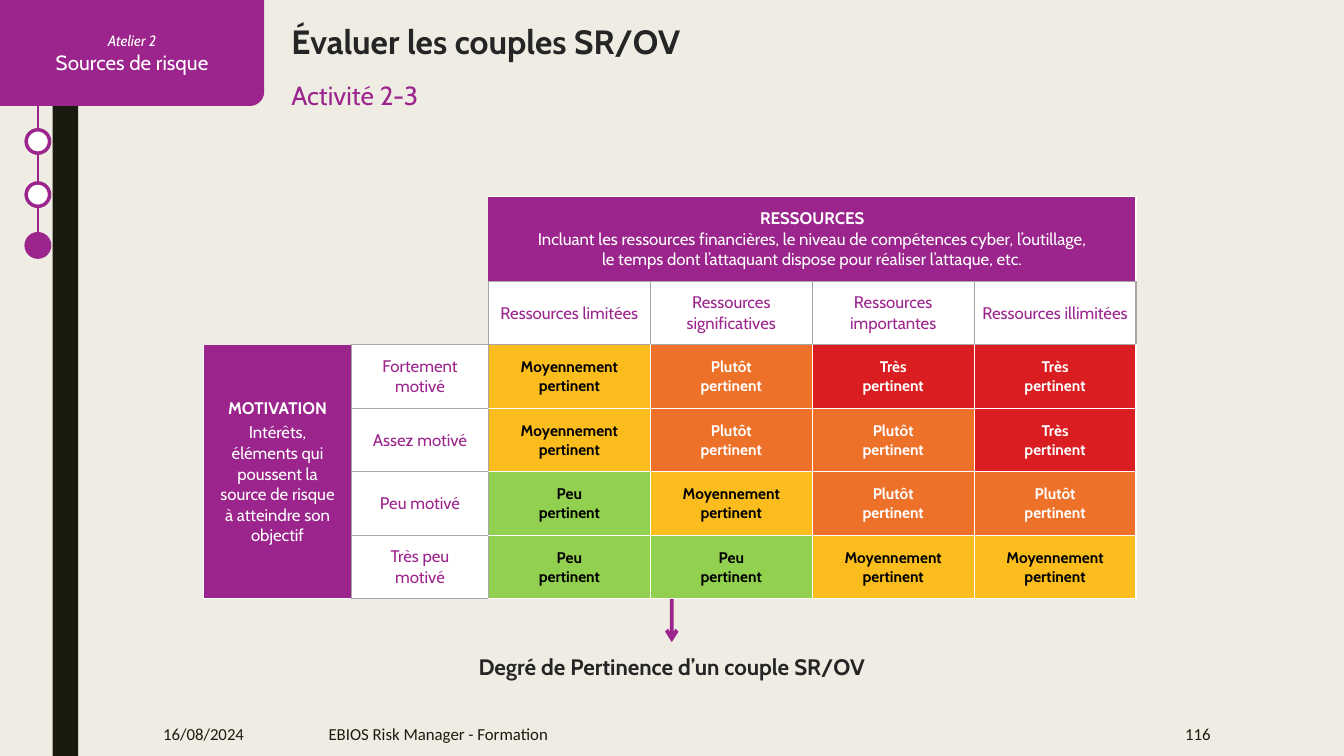
from dataclasses import dataclass
from math import cos, pi, sin

from lxml.etree import SubElement
from pptx import Presentation
from pptx.dml.color import RGBColor
from pptx.enum.shapes import MSO_CONNECTOR as Connector, MSO_SHAPE as Preset
from pptx.enum.text import MSO_ANCHOR as Anchor, MSO_AUTO_SIZE as AutoSize, PP_ALIGN as Align
from pptx.oxml.ns import qn
from pptx.util import Cm, Pt


@dataclass(frozen=True)
class Theme:
    paper: str = "EFEDE3"
    purple: str = "9C258D"
    dark: str = "191B0E"
    ink: str = "252525"
    white: str = "FFFFFF"
    black: str = "000000"
    grey: str = "A6A6A6"
    green: str = "92D050"
    yellow: str = "FBBD1E"
    orange: str = "EE712A"
    red: str = "D91D20"
    font: str = "Cabin"
    footer_font: str = "Calibri"
    title: float = 24
    subtitle: float = 18.7
    conclusion: float = 16
    section: float = 14.7
    workshop: float = 10.7
    text: float = 12
    degree: float = 11


@dataclass(frozen=True)
class Box:
    """A region, in centimetres."""
    left: float
    top: float
    width: float
    height: float

    def place(self):
        return [Cm(value) for value in (self.left, self.top, self.width, self.height)]


THEME = Theme()
NO_STYLE = "{2D5ABB26-0587-4C30-8999-92F81FD0307C}"
NO_MARGINS = dict.fromkeys(("margin_left", "margin_top", "margin_right", "margin_bottom"), 0)
RESOURCES = ["Ressources limitées", "Ressources significatives",
             "Ressources importantes", "Ressources illimitées"]
MOTIVATIONS = {"Fortement\nmotivé": "MPTT", "Assez motivé": "MPPT",
               "Peu motivé": "FMPP", "Très peu\nmotivé": "FFMM"}
DEGREES = {"F": ("Peu\npertinent", THEME.green, THEME.black),
           "M": ("Moyennement pertinent", THEME.yellow, THEME.black),
           "P": ("Plutôt\npertinent", THEME.orange, THEME.white),
           "T": ("Très\npertinent", THEME.red, THEME.white)}


def rgb(code):
    return RGBColor.from_string(code)


def assign(target, values):
    for name, value in values.items():
        setattr(target, name, value)


def write(frame, *lines, align=Align.CENTER):
    """Fill a text frame with (text, size, colour, font values) lines."""
    for index, (text, size, colour, values) in enumerate(lines):
        para = frame.add_paragraph() if index else frame.paragraphs[0]
        para.text = text
        assign(para, {"alignment": align, "space_before": Pt(0)})
        for span in para.runs:
            assign(span.font, {"name": THEME.font, "size": Pt(size), "bold": False, **values})
            span.font.color.rgb = rgb(colour)


def paint(shape, fill, line=None, weight=0):
    shape.shadow.inherit = False
    shape.fill.solid()
    shape.fill.fore_color.rgb = rgb(fill)
    if line:
        shape.line.color.rgb = rgb(line)
        shape.line.width = Pt(weight)
    else:
        shape.line.fill.background()


def add_line(page, start, end, weight):
    line = page.shapes.add_connector(Connector.STRAIGHT, *map(Cm, (*start, *end)))
    line.line.color.rgb = rgb(THEME.purple)
    line.line.width = Pt(weight)
    SubElement(line._element.spPr, qn("a:effectLst"))
    return line


def add_label(page, box, line, align=Align.LEFT, **frame_values):
    label = page.shapes.add_textbox(*box.place())
    assign(label.text_frame, {"word_wrap": True, "vertical_anchor": Anchor.MIDDLE, **frame_values})
    write(label.text_frame, line, align=align)
    return label


def add_side_bar(page, box):
    bar = page.shapes.add_shape(Preset.RECTANGLE, *box.place())
    paint(bar, THEME.dark)


def add_progress(page, box):
    """Draw the step line with its circles, the last one being current."""
    middle, size = box.left + box.width / 2, box.width
    add_line(page, (middle, box.top), (middle, box.top + box.height), 1.25)
    last = box.top + box.height - size
    for top, fill in ((last - 2.62, THEME.white), (last - 1.28, THEME.white), (last, THEME.purple)):
        step = page.shapes.add_shape(Preset.OVAL, *Box(box.left, top, size, size).place())
        paint(step, fill, THEME.purple, 2.5)


def add_section_tab(page, box, radius=0.36):
    """Draw the section tab, rounded at its bottom right corner."""
    right, bottom = box.left + box.width, box.top + box.height
    angles = [step * pi / 24 for step in range(13)]
    arc = [(right - radius + radius * cos(a), bottom - radius + radius * sin(a)) for a in angles]
    outline = page.shapes.build_freeform(Cm(box.left), Cm(box.top))
    corners = [(right, box.top), *arc, (box.left, bottom)]
    outline.add_line_segments([(Cm(x), Cm(y)) for x, y in corners])
    tab = outline.convert_to_shape()
    paint(tab, THEME.purple)
    tab.text_frame.vertical_anchor = Anchor.MIDDLE
    write(tab.text_frame, ("Atelier 2", THEME.workshop, THEME.white, {"italic": True}),
          ("Sources de risque", THEME.section, THEME.white, {}))


def add_headings(page, box):
    title, subtitle = page.shapes.title, page.placeholders[1]
    properties = subtitle.text_frame.paragraphs[0]._p.get_or_add_pPr()
    properties.set("marL", "0")
    properties.set("indent", "0")
    SubElement(properties, qn("a:buNone"))
    headings = (
        (title, 0, 1.02, ("Évaluer les couples SR/OV", THEME.title, THEME.ink, {"bold": True})),
        (subtitle, 1.47, 0.8, ("Activité 2-3", THEME.subtitle, THEME.purple, {})))
    for holder, offset, height, line in headings:
        place = Box(box.left, box.top + offset, box.width, height).place()
        assign(holder, dict(zip(("left", "top", "width", "height"), place)))
        assign(holder.text_frame, {**NO_MARGINS, "word_wrap": True, "vertical_anchor": Anchor.TOP,
                                   "auto_size": AutoSize.SHAPE_TO_FIT_TEXT})
        write(holder.text_frame, line, align=Align.LEFT)


def fill_cell(cell, fill, edges, *lines, margin=0.15):
    """Fill a cell; edges maps the sides L, R, T, B to colours."""
    properties = cell._tc.get_or_add_tcPr()
    for side in "LRTB":
        if side in edges:
            border = SubElement(properties, qn(f"a:ln{side}"), w=str(Pt(1)))
            paint_fill = SubElement(border, qn("a:solidFill"))
            SubElement(paint_fill, qn("a:srgbClr"), val=edges[side])
    cell.fill.solid()
    cell.fill.fore_color.rgb = rgb(fill)
    assign(cell, {**NO_MARGINS, "margin_left": Cm(margin), "margin_right": Cm(margin),
                  "vertical_anchor": Anchor.MIDDLE})
    write(cell.text_frame, *lines)


def add_matrix(page, box):
    table = page.shapes.add_table(6, 6, *box.place()).table
    assign(table, {"first_row": False, "horz_banding": False})
    table._tbl.tblPr.find(qn("a:tableStyleId")).text = NO_STYLE
    widths = [3.73, 3.45] + [(box.width - 7.18) / 4] * 4
    heights = [2.13] + [(box.height - 2.13) / 5] * 5
    for column, width in zip(table.columns, widths):
        column.width = Cm(width)
    for row, height in zip(table.rows, heights):
        row.height = Cm(height)
    for first, last in (((0, 0), (1, 1)), ((0, 2), (0, 5)), ((2, 0), (5, 0))):
        table.cell(*first).merge(table.cell(*last))

    white, grey = dict.fromkeys("LRTB", THEME.white), dict.fromkeys("LRTB", THEME.grey)
    bold = {"bold": True}
    fill_cell(table.cell(0, 2), THEME.purple, {"T": THEME.white, "R": THEME.white, "B": THEME.grey},
              ("RESSOURCES", THEME.text, THEME.white, bold),
              ("Incluant les ressources financières, le niveau de compétences cyber, l’outillage,\n"
               "le temps dont l’attaquant dispose pour réaliser l’attaque, etc.",
               THEME.text, THEME.white, {}), margin=0.23)
    motivation = table.cell(2, 0)
    fill_cell(motivation, THEME.purple, {"L": THEME.white, "R": THEME.grey, "B": THEME.white},
              ("MOTIVATION", THEME.text, THEME.white, bold),
              ("Intérêts, éléments qui poussent la source de risque à atteindre son objectif",
               THEME.text, THEME.white, {}), margin=0.4)
    motivation.text_frame.paragraphs[0].space_after = Pt(3)
    for column, text in enumerate(RESOURCES, 2):
        fill_cell(table.cell(1, column), THEME.white, grey, (text, THEME.text, THEME.purple, {}))
    for row, (text, degrees) in enumerate(MOTIVATIONS.items(), 2):
        fill_cell(table.cell(row, 1), THEME.white, grey, (text, THEME.text, THEME.purple, {}))
        for column, key in enumerate(degrees, 2):
            degree, fill, colour = DEGREES[key]
            edges = {**white, "L": THEME.grey if column == 2 else THEME.white,
                     "T": THEME.grey if row == 2 else THEME.white}
            fill_cell(table.cell(row, column), fill, edges, (degree, THEME.degree, colour, bold))


def add_conclusion(page, box, arrow_length=1.09):
    line = ("Degré de Pertinence d’un couple SR/OV", THEME.conclusion, THEME.ink, {"bold": True})
    label = add_label(page, box, line, Align.CENTER, **NO_MARGINS)
    middle = box.left + box.width / 2
    arrow = add_line(page, (middle, box.top - arrow_length), (middle, box.top), 2.75)
    arrow.end_connect(label, 0)
    SubElement(arrow.line._get_or_add_ln(), qn("a:tailEnd"), type="arrow")


def add_footer(page, box):
    parts = ((0, 3.35, "16/08/2024", Align.LEFT),
             (4.17, 17.45, "EBIOS Risk Manager - Formation", Align.LEFT),
             (box.width - 4.45, 4.45, "116", Align.RIGHT))
    for offset, width, text, align in parts:
        add_label(page, Box(box.left + offset, box.top, width, box.height),
                  (text, THEME.text, THEME.dark, {"name": THEME.footer_font}), align)


def main():
    deck = Presentation()
    assign(deck, {"slide_width": Cm(33.87), "slide_height": Cm(19.05)})
    page = deck.slides.add_slide(deck.slide_layouts[1])
    page.background.fill.solid()
    page.background.fill.fore_color.rgb = rgb(THEME.paper)
    add_side_bar(page, Box(1.33, 0, 0.64, 19.05))
    add_progress(page, Box(0.66, 2.26, 0.59, 4.22))
    add_section_tab(page, Box(0, 0, 6.66, 2.67))
    add_headings(page, Box(7.34, 0.53, 25.32, 2.27))
    add_matrix(page, Box(5.13, 4.96, 23.5, 10.13))
    add_conclusion(page, Box(8.56, 16.18, 16.74, 1.22))
    add_footer(page, Box(3.86, 17.93, 26.9, 1.12))
    deck.save("out.pptx")


if __name__ == "__main__":
    main()
